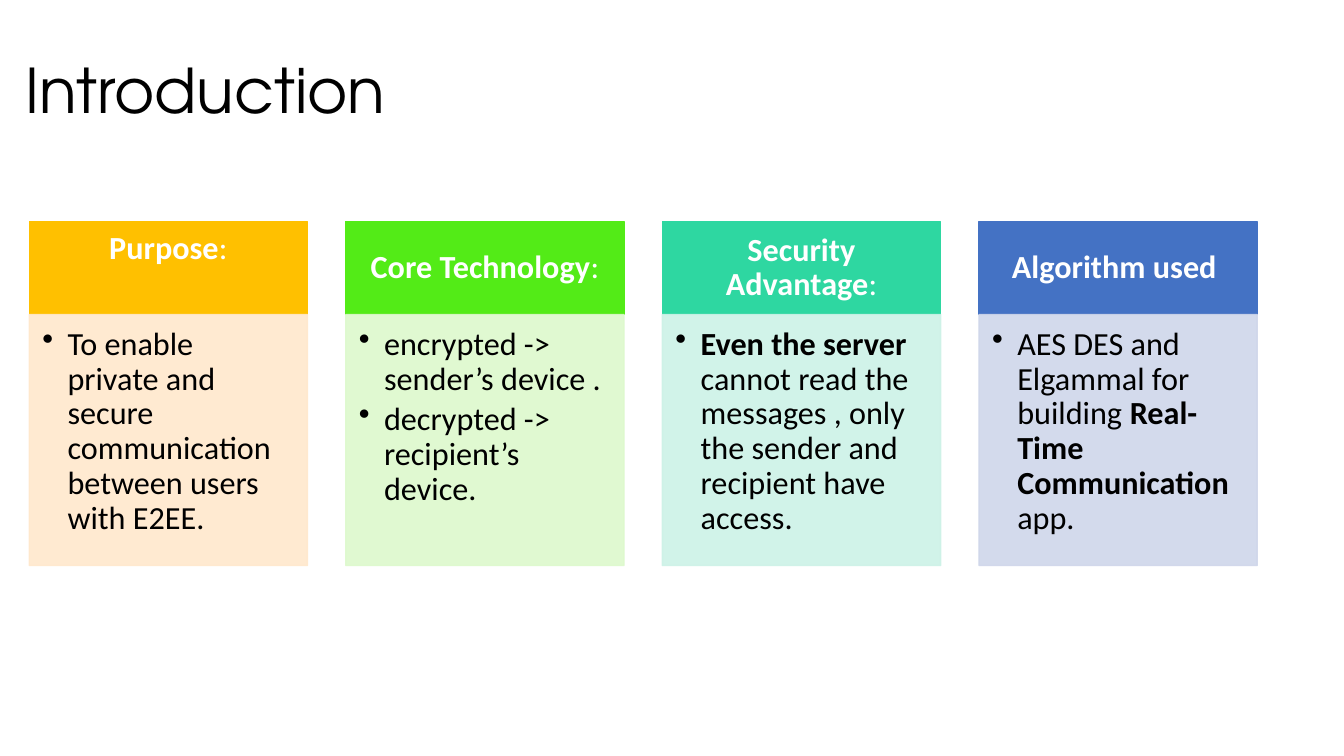
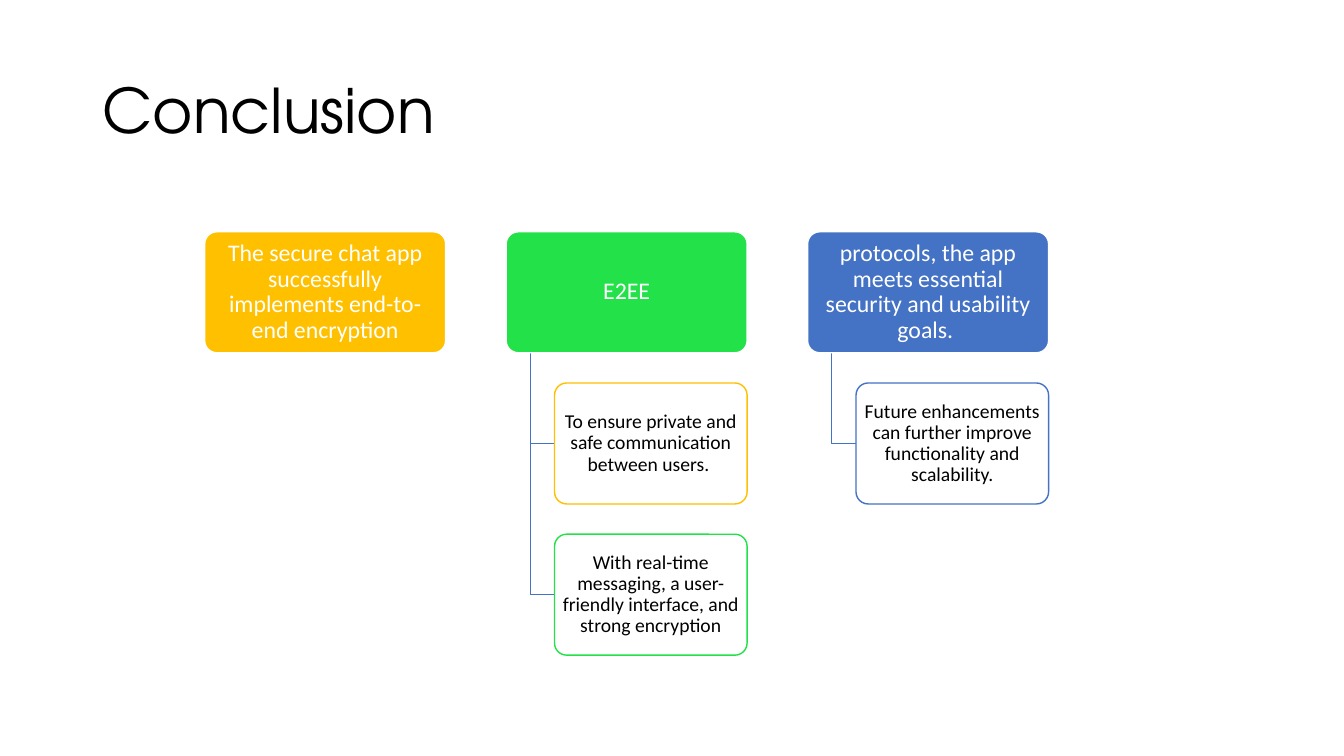
import pptx
import pptx.util
import pptx.oxml.ns
from lxml import etree
from pptx.dml.color import RGBColor
from pptx.enum.shapes import MSO_SHAPE
from pptx.enum.text import MSO_ANCHOR, MSO_AUTO_SIZE, PP_ALIGN

PX = 9144
GOLD, BLUE, GREEN, WHITE, BLACK = "FFC000", "4472C4", "23E148", "FFFFFF", "000000"
SIDES = ("left", "top", "right", "bottom")
TITLE = {"font": "TeX Gyre Adventor", "size": 44, "color": BLACK, "align": PP_ALIGN.LEFT,
         "anchor": MSO_ANCHOR.MIDDLE, "insets": (10, 5, 10, 5)}
HEAD = {"font": "Calibri", "size": 23, "color": WHITE, "align": PP_ALIGN.CENTER,
        "anchor": MSO_ANCHOR.MIDDLE, "insets": (18, 10, 18, 10)}
BODY = HEAD | {"color": BLACK, "align": PP_ALIGN.LEFT, "anchor": MSO_ANCHOR.TOP,
               "insets": (13, 13, 18, 20), "bullet": "•"}
ROOT = HEAD | {"size": 17, "insets": (4, 2, 4, 2)}
CHILD = HEAD | {"size": 14, "color": BLACK, "insets": (3, 2, 3, 2)}


def paint(shape, fill, line, fill_alpha=100, line_alpha=100):
    shape.shadow.inherit = False
    shape.line.width = pptx.util.Pt(1)
    shape.line.fill.solid()
    if fill is None:
        shape.fill.background()
    else:
        shape.fill.solid()
    for part, color, alpha in ((shape.fill, fill, fill_alpha), (shape.line.fill, line, line_alpha)):
        if color is None:
            continue
        part.fore_color.rgb = RGBColor.from_string(color)
        if alpha < 100:
            holder = shape.line._ln if part is not shape.fill else shape._element.spPr
            solid = holder.find(pptx.oxml.ns.qn("a:solidFill"))
            etree.SubElement(solid[0], pptx.oxml.ns.qn("a:alpha"), val=str(alpha * 1000))


def write(shape, texts, style):
    frame = shape.text_frame
    settings = {"word_wrap": True, "auto_size": MSO_AUTO_SIZE.NONE, "vertical_anchor": style["anchor"]}
    settings |= {f"margin_{side}": inset * PX for side, inset in zip(SIDES, style["insets"])}
    for name, value in settings.items():
        setattr(frame, name, value)
    for index, text in enumerate(texts):
        para = frame.add_paragraph() if index else frame.paragraphs[0]
        layout = {"alignment": style["align"], "line_spacing": 0.9,
                  "space_before": pptx.util.Pt(0), "space_after": pptx.util.Pt(4)}
        for name, value in layout.items():
            setattr(para, name, value)
        if "bullet" in style:
            properties = para._p.get_or_add_pPr()
            properties.set("marL", str(25 * PX))
            properties.set("indent", str(-25 * PX))
            etree.SubElement(properties, pptx.oxml.ns.qn("a:buChar"), char=style["bullet"])
        for order, piece in enumerate(text.split("*")):
            if piece:
                span = para.add_run()
                span.text = piece
                look = {"name": style["font"], "size": pptx.util.Pt(style["size"]), "bold": order % 2 == 1}
                for name, value in look.items():
                    setattr(span.font, name, value)
                span.font.color.rgb = RGBColor.from_string(style["color"])


deck = pptx.Presentation()
deck.slide_width, deck.slide_height = 1333 * PX, 750 * PX
pages = []
for heading, left, top in (("Introduction", 15, 20), ("Conclusion", 92, 40)):
    page = deck.slides.add_slide(deck.slide_layouts[5])
    title = page.shapes.title
    for name, value in {"left": left, "top": top, "width": 1150, "height": 145}.items():
        setattr(title, name, value * PX)
    write(title, [heading], TITLE)
    pages.append(page)
introduction, conclusion = pages

cards = [
    ("*Purpose*:", GOLD, "FFE8CC", MSO_ANCHOR.TOP,
     ["To enable private and secure communication between users with E2EE."]),
    ("*Core Technology*:", "53EB17", "DDF9CC", MSO_ANCHOR.MIDDLE,
     ["encrypted -> sender’s device .", "decrypted -> recipient’s device."]),
    ("*Security Advantage*:", "2ED7A1", "CDF2E7", MSO_ANCHOR.MIDDLE,
     ["*Even the server* cannot read the messages , only the sender and recipient have access."]),
    ("*Algorithm used *", BLUE, "CFD6EA", MSO_ANCHOR.MIDDLE,
     ["AES DES and Elgammal for building *Real-Time Communication* app."]),
]
for column, (heading, strong, pale, anchor, points) in enumerate(cards):
    left = 29 + 314 * column
    bands = ((220, 92, strong, 100, [heading], HEAD | {"anchor": anchor}),
             (312, 249, pale, 90, points, BODY))
    for top, height, color, alpha, texts, style in bands:
        box = introduction.shapes.add_shape(MSO_SHAPE.RECTANGLE, left * PX, top * PX, 276 * PX, height * PX)
        paint(box, color, color, alpha, alpha)
        write(box, texts, style)

branches = [
    ("The secure chat app successfully implements end-to-end encryption", GOLD, []),
    ("E2EE", GREEN,
     [("To ensure private and safe communication between users. ", GOLD),
      ("With real-time messaging, a user-friendly interface, and strong encryption", GREEN)]),
    ("protocols, the app meets essential security and usability goals. ", BLUE,
     [("Future enhancements can further improve functionality and scalability.", BLUE)]),
]
root_top, row_step, node_width, node_height, indent = 230, 150, 239, 120, 24
for column, (heading, color, children) in enumerate(branches):
    left = 203 + 299 * column
    nodes = [(heading, left, root_top, color, WHITE, 100, ROOT)]
    for row, (text, outline) in enumerate(children, 1):
        top = root_top + row_step * row
        nodes.append((text, left + 2 * indent, top, WHITE, outline, 90, CHILD))
        trunk, middle = left + indent, top + node_height // 2
        path_builder = conclusion.shapes.build_freeform(trunk, root_top + node_height, scale=PX)
        path_builder.add_line_segments([(trunk, middle), (trunk + indent, middle)], close=False)
        paint(path_builder.convert_to_shape(), None, BLUE)
    for text, node_left, top, fill, line, alpha, style in nodes:
        width = left + node_width - node_left
        box = conclusion.shapes.add_shape(MSO_SHAPE.ROUNDED_RECTANGLE, node_left * PX, top * PX,
                                          width * PX, node_height * PX)
        box.adjustments[0] = 0.1
        paint(box, fill, line, alpha)
        write(box, [text], style)

deck.save("out.pptx")
